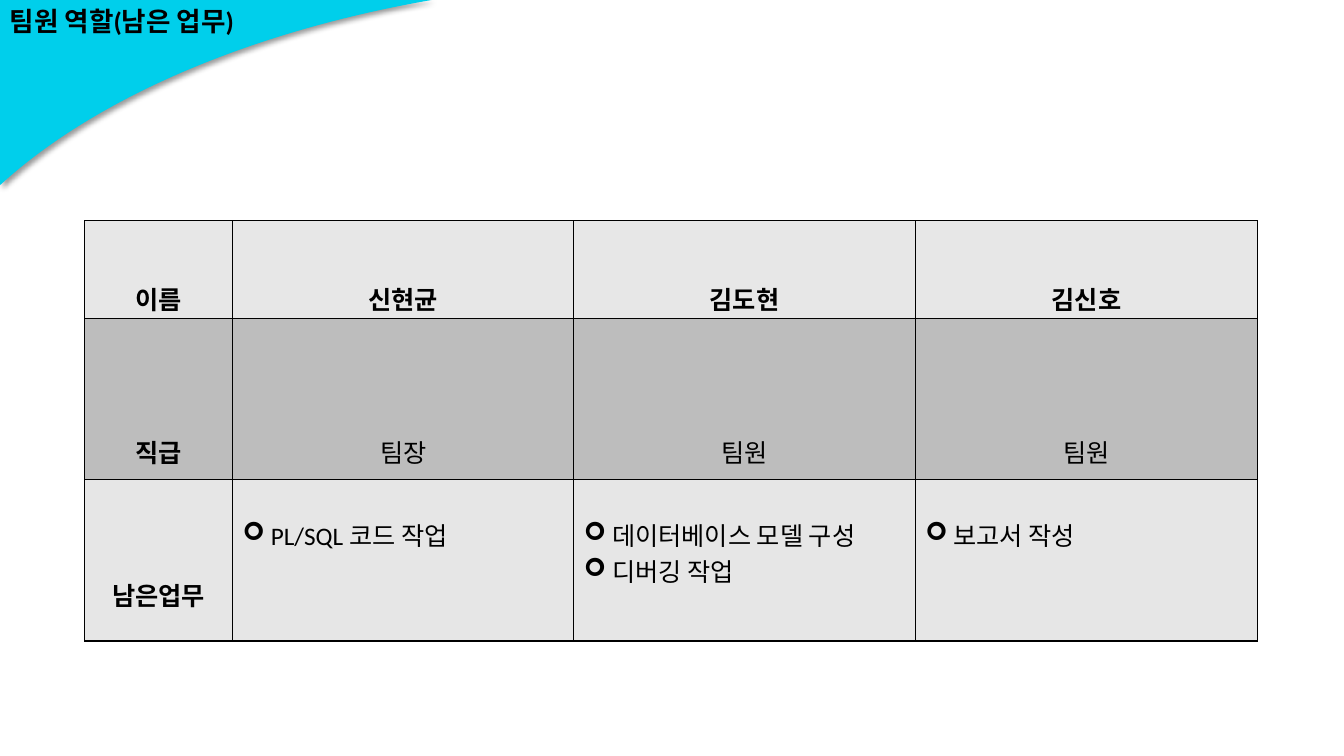
"""Builds the slide of team roles and remaining tasks."""
from dataclasses import dataclass

from lxml.etree import SubElement as Sub
from pptx import Presentation as Deck
from pptx.dml.color import RGBColor as Color
from pptx.enum.text import MSO_AUTO_SIZE as Fit, PP_ALIGN as Align
from pptx.oxml.ns import qn
from pptx.util import Emu, Inches, Pt

HUES = {"cyan": "00CFEB", "ink": "000000", "light": "E7E7E7",
        "mid": "BDBDBD", "pale": "E6E6E6"}
FONT = "Calibri"
WIDE, HIGH = Inches(13.33), Inches(7.5)
COLS = (11, 25.4, 25.4, 25.5)


@dataclass
class Row:
    high: float
    fill: str
    lead: float
    head: str
    cells: tuple
    bold: bool = False
    list: bool = False


ROWS = (
    Row(12.93, "light", 2.5, "이름", ("신현균", "김도현", "김신호"), bold=True),
    Row(21.33, "mid", 4, "직급", ("팀장", "팀원", "팀원")),
    Row(21.33, "pale", 3.5, "남은업무",
        (("PL/SQL 코드 작업",), ("데이터베이스 모델 구성", "디버깅 작업"),
         ("보고서 작성",)), list=True),
)


def across(share: float) -> Emu:
    """Turn a percentage of the slide's width into a length."""
    return Emu(round(WIDE * share / 100))


def down(share: float) -> Emu:
    """Turn a percentage of the slide's height into a length."""
    return Emu(round(HIGH * share / 100))


def tint(fill, hue: str) -> None:
    """Give a fill one solid colour."""
    fill.solid()
    fill.fore_color.rgb = Color.from_string(HUES[hue])


def write(para, text: str, size: float, bold: bool) -> None:
    """Add one run to a paragraph."""
    run = para.add_run()
    run.text = text
    font = run.font
    font.name, font.size, font.bold = FONT, Pt(size), bold
    tint(font.fill, "ink")


def paint(node, hue: str):
    """Add a colour element under a node."""
    return Sub(node, qn("a:srgbClr"), val=HUES[hue])


def curve(slide) -> None:
    """Draw the curved corner with its soft shadow."""
    wide, high = across(32.1), down(24.5)
    pen = slide.shapes.build_freeform(0, 0)
    pen.add_line_segments([(wide, 0), (0, high)], close=True)
    shape = pen.convert_to_shape()
    tint(shape.fill, "cyan")
    shape.line.fill.background()
    shape.shadow.inherit = False
    line = shape._element.xpath(".//a:lnTo")[1]
    line.tag = qn("a:cubicBezTo")
    for spot, (x, y) in enumerate(((0.58, 0.17), (0.22, 0.53))):
        dot = Sub(line, qn("a:pt"), x=str(round(wide * x)), y=str(round(high * y)))
        line.insert(spot, dot)
    glow = shape._element.spPr.find(qn("a:effectLst"))
    shade = Sub(glow, qn("a:outerShdw"), blurRad=str(Pt(4)), dist=str(Pt(3)),
                dir=str(45 * 60000), algn="tl", rotWithShape="0")
    Sub(paint(shade, "ink"), qn("a:alpha"), val="40000")


def title(slide) -> None:
    """Write the heading in the corner."""
    frame = slide.shapes.add_textbox(0, 0, across(32), down(5.33)).text_frame
    frame.word_wrap = True
    frame.auto_size = Fit.SHAPE_TO_FIT_TEXT
    write(frame.paragraphs[0], "팀원 역할(남은 업무)", 19, True)


def edge(cell) -> None:
    """Rule all four sides of a cell."""
    props = cell._tc.get_or_add_tcPr()
    for spot, side in enumerate("LRTB"):
        line = Sub(props, qn(f"a:ln{side}"), w=str(Pt(1)))
        paint(Sub(line, qn("a:solidFill")), "ink")
        props.insert(spot, line)


def label(cell, text: str, lead: float, bold: bool) -> None:
    """Write a centred line with tall spacing."""
    para = cell.text_frame.paragraphs[0]
    para.alignment, para.line_spacing = Align.CENTER, lead
    write(para, text, 18, bold)


def tasks(cell, items: tuple) -> None:
    """Write a list of tasks with arrow bullets."""
    cell.margin_top = Inches(0.36)
    frame = cell.text_frame
    for spot, item in enumerate(items):
        para = frame.add_paragraph() if spot else frame.paragraphs[0]
        props = para._p.get_or_add_pPr()
        props.set("marL", str(Inches(0.28)))
        props.set("indent", str(-Inches(0.28)))
        paint(Sub(props, qn("a:buClr")), "ink")
        Sub(props, qn("a:buFont"), typeface="Wingdings")
        Sub(props, qn("a:buChar"), char="➢")
        write(para, item, 18, False)


def grid(slide) -> None:
    """Draw the table of names, ranks and tasks."""
    frame = slide.shapes.add_table(
        len(ROWS), len(COLS), across(6.3), down(29.2),
        across(sum(COLS)), down(sum(row.high for row in ROWS)))
    table = frame.table
    table.first_row = table.horz_banding = False
    for col, share in zip(table.columns, COLS):
        col.width = across(share)
    for line, row in zip(table.rows, ROWS):
        line.height = down(row.high)
        for spot, (cell, text) in enumerate(zip(line.cells, (row.head, *row.cells))):
            tint(cell.fill, row.fill)
            edge(cell)
            if row.list and spot:
                tasks(cell, text)
            else:
                label(cell, text, row.lead, row.bold or not spot)


def main() -> None:
    """Build and save the slide."""
    deck = Deck()
    deck.slide_width, deck.slide_height = WIDE, HIGH
    slide = deck.slides.add_slide(deck.slide_layouts[6])
    curve(slide)
    title(slide)
    grid(slide)
    deck.save("out.pptx")


if __name__ == "__main__":
    main()
